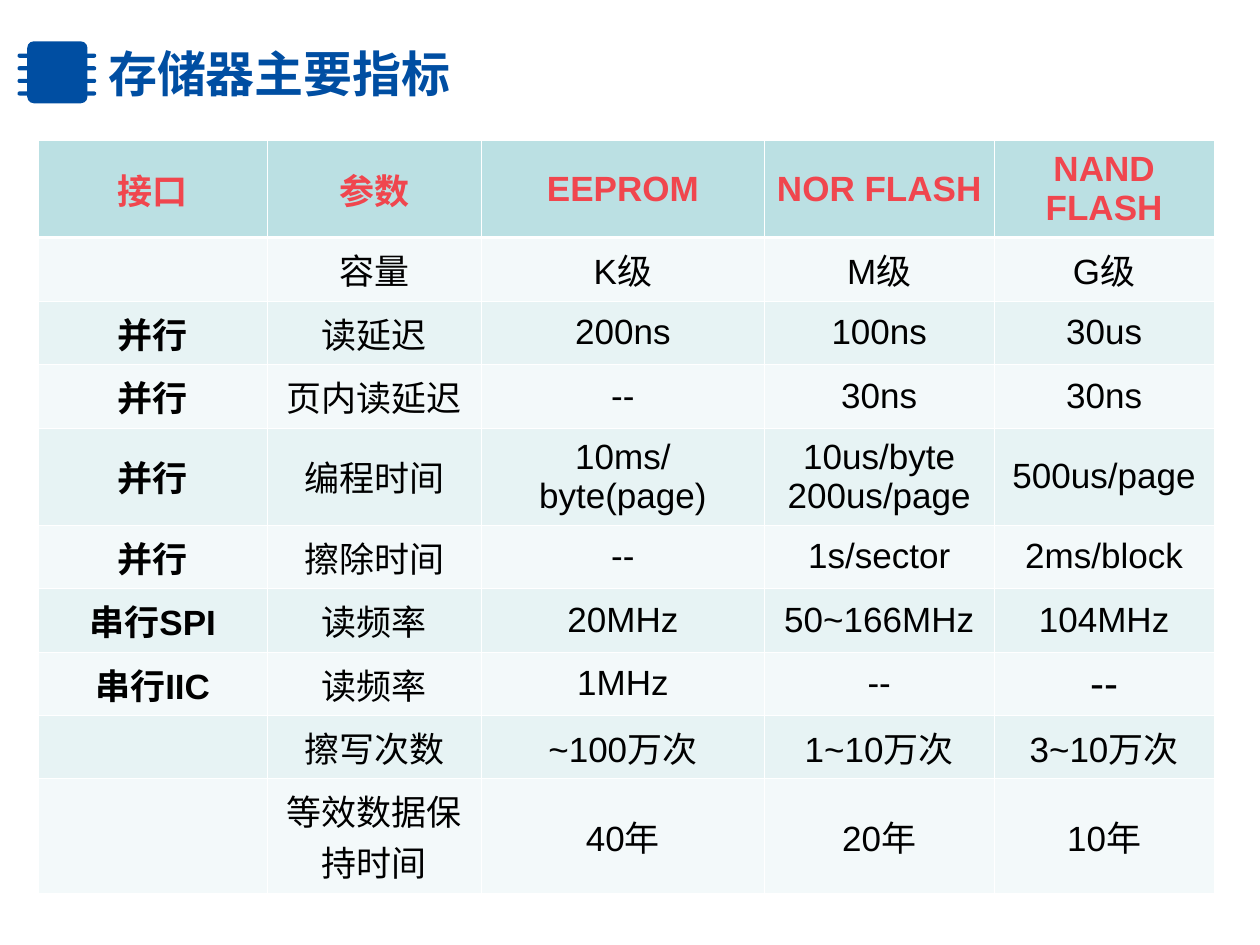
from lxml import etree
from pptx import Presentation
from pptx.dml.color import RGBColor
from pptx.enum.shapes import MSO_SHAPE
from pptx.enum.text import MSO_ANCHOR, PP_ALIGN
from pptx.oxml.ns import qn
from pptx.util import Pt

ROUNDED = MSO_SHAPE.ROUNDED_RECTANGLE
MIDDLE = MSO_ANCHOR.MIDDLE
LEFT, CENTER = PP_ALIGN.LEFT, PP_ALIGN.CENTER

COLORS = {
    "blue": "004EA2",
    "red": "F0464E",
    "black": "000000",
    "white": "FFFFFF",
    "header": "BBE0E3",
    "light": "F3F9FA",
    "dark": "E7F3F4",
}
LATIN, CJK = "Arial", "Noto Sans CJK SC"

COLUMN_WIDTHS = [131, 122.5, 161.5, 131.5, 125.5]
ROW_HEIGHTS = [55.5, 31, 31, 31, 55.5, 31, 31, 36, 31, 55.5]
METRICS = [
    ["接口", "参数", "EEPROM", "NOR FLASH", "NAND FLASH"],
    ["", "容量", "K级", "M级", "G级"],
    ["并行", "读延迟", "200ns", "100ns", "30us"],
    ["并行", "页内读延迟", "--", "30ns", "30ns"],
    ["并行", "编程时间", "10ms/byte(page)", "10us/byte\n200us/page", "500us/page"],
    ["并行", "擦除时间", "--", "1s/sector", "2ms/block"],
    ["串行SPI", "读频率", "20MHz", "50~166MHz", "104MHz"],
    ["串行IIC", "读频率", "1MHz", "--", "--"],
    ["", "擦写次数", "~100万次", "1~10万次", "3~10万次"],
    ["", "等效数据保持时间", "40年", "20年", "10年"],
]
LARGE_DASH = (7, 4)  # row and column of the one 24 pt entry


def rgb(name):
    return RGBColor.from_string(COLORS[name])


def style_paragraph(paragraph, size, color, bold, align, latin=LATIN):
    paragraph.alignment = align
    font = paragraph.font
    font.size, font.bold, font.name = Pt(size), bold, latin
    font.color.rgb = rgb(color)
    east_asian = etree.SubElement(paragraph._p.pPr.find(qn("a:defRPr")), qn("a:ea"))
    east_asian.set("typeface", CJK)


def set_borders(cell, top, bottom):
    """Draw white cell borders; lines come before the fill in the XML."""
    properties = cell._tc.get_or_add_tcPr()
    widths = {"lnL": 0.45, "lnR": 0.45, "lnT": top, "lnB": bottom}
    for position, (side, width) in enumerate(widths.items()):
        line = etree.Element(qn(f"a:{side}"), w=str(Pt(width)))
        fill = etree.SubElement(line, qn("a:solidFill"))
        etree.SubElement(fill, qn("a:srgbClr"), val=COLORS["white"])
        properties.insert(position, line)


def add_block(group, left, top, width, height, rounding):
    block = group.shapes.add_shape(ROUNDED, Pt(left), Pt(top), Pt(width), Pt(height))
    block.adjustments[0] = rounding
    block.shadow.inherit = False
    block.fill.solid()
    block.fill.fore_color.rgb = rgb("blue")
    block.line.fill.background()


def add_chip_icon(slide):
    chip = slide.shapes.add_group_shape()
    # Pins, tucked slightly under the body
    for pin_left in (10, 48):
        for row in range(4):
            add_block(chip, pin_left, 30.6 + 7.2 * row, 7, 2.4, 0.5)
    # Body
    add_block(chip, 15.6, 23.6, 34.4, 35.4, 0.11)


def add_title(slide, text):
    title = slide.shapes.add_textbox(Pt(54.7), Pt(11.5), Pt(581), Pt(60.5))
    frame = title.text_frame
    frame.word_wrap = True
    frame.vertical_anchor = MIDDLE
    frame.text = text
    style_paragraph(frame.paragraphs[0], 28, "blue", True, LEFT, CJK)


def fill_cell(cell, text, row, column):
    is_header = row == 0
    cell.text = text
    cell.vertical_anchor = MIDDLE
    cell.fill.solid()
    band = "light" if row % 2 else "dark"
    cell.fill.fore_color.rgb = rgb("header" if is_header else band)
    set_borders(cell, 1.47 if row == 1 else 0.45, 1.47 if is_header else 0.45)
    size = 24 if (row, column) == LARGE_DASH else 20
    for paragraph in cell.text_frame.paragraphs:
        style_paragraph(paragraph, size, "red" if is_header else "black",
                        is_header or column == 0, CENTER)


def add_metrics_table(slide):
    table = slide.shapes.add_table(
        len(METRICS), len(COLUMN_WIDTHS), Pt(21.7), Pt(80.3),
        Pt(sum(COLUMN_WIDTHS)), Pt(sum(ROW_HEIGHTS))).table
    table.first_row = table.horz_banding = False
    for column, width in zip(table.columns, COLUMN_WIDTHS):
        column.width = Pt(width)
    for row, height in zip(table.rows, ROW_HEIGHTS):
        row.height = Pt(height)
    for r, entries in enumerate(METRICS):
        for c, text in enumerate(entries):
            fill_cell(table.cell(r, c), text, r, c)


def main():
    deck = Presentation()
    deck.slide_width, deck.slide_height = Pt(720), Pt(540)
    slide = deck.slides.add_slide(deck.slide_layouts[6])
    add_metrics_table(slide)
    add_title(slide, "存储器主要指标")
    add_chip_icon(slide)
    deck.save("out.pptx")


if __name__ == "__main__":
    main()
